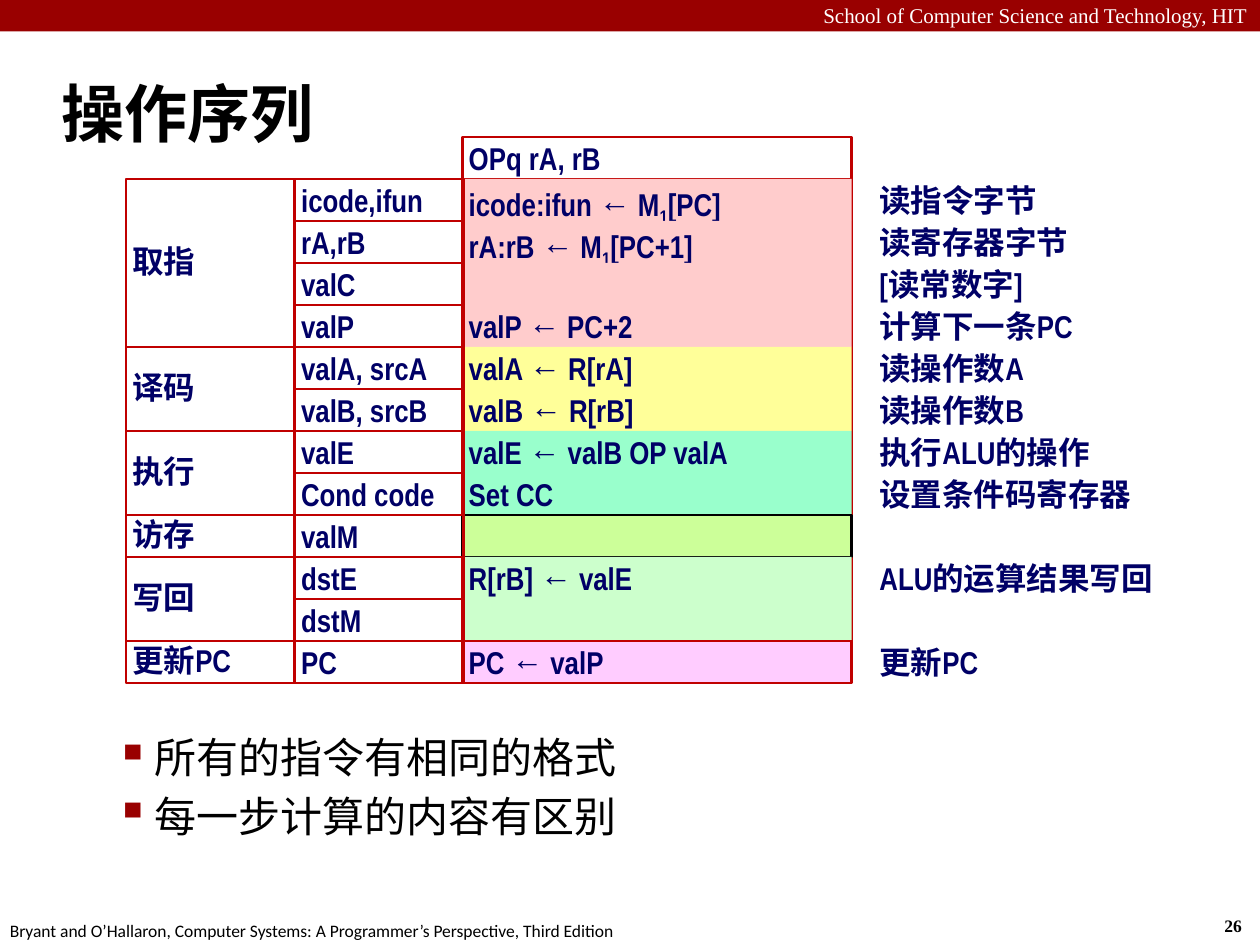
"""Builds the slide on the operation sequence of OPq, stage by stage."""
from lxml import etree
from pptx import Presentation, util as u
from pptx.dml.color import RGBColor
from pptx.enum import shapes, text
from pptx.oxml.ns import qn

C = {"bar": "990000", "line": "C00000", "navy": "000066", "black": "000000",
     "white": "FFFFFF", "fetch": "FFCCCC", "decode": "FFFF99",
     "execute": "99FFCC", "memory": "CCFF99", "write": "CCFFCC", "pc": "FFCCFF"}
X = {"stage": 1, "name": 2.34, "step": 3.67, "note": 6.93}
W = {"stage": 1.34, "name": 1.34, "step": 3.09, "note": 3.07}
TOP, ROW = 1.42, 1 / 3

STAGES = [
    ("取指", "fetch", "line", [
        ("icode,ifun", "icode:ifun ← M_1_[PC]", "读指令字节"),
        ("rA,rB", "rA:rB ← M_1_[PC+1]", "读寄存器字节"),
        ("valC", "", "[读常数字]"),
        ("valP", "valP ← PC+2", "计算下一条PC")]),
    ("译码", "decode", "line", [
        ("valA, srcA", "valA ← R[rA]", "读操作数A"),
        ("valB, srcB", "valB ← R[rB]", "读操作数B")]),
    ("执行", "execute", "line", [
        ("valE", "valE ← valB OP valA", "执行ALU的操作"),
        ("Cond code", "Set CC", "设置条件码寄存器")]),
    ("访存", "memory", "black", [("valM", "", "")]),
    ("写回", "write", "line", [
        ("dstE", "R[rB] ← valE", "ALU的运算结果写回"),
        ("dstM", "", "")]),
    ("更新PC", "pc", "line", [("PC", "PC ← valP", "更新PC")]),
]


def write(p, words, size=18, font="Arial Narrow", color="navy", bold=True,
          align=text.PP_ALIGN.LEFT, spacing=None):
    """Fill a paragraph; parts between underscores become subscripts."""
    p.alignment = align
    if spacing:
        p.line_spacing = spacing
    for i, part in enumerate(words.split("_")):
        r = p.add_run()
        r.text = part
        r.font.size, r.font.name, r.font.bold = u.Pt(size), font, bold
        r.font.color.rgb = RGBColor.from_string(C[color])
        if i % 2:
            r.font._element.set("baseline", "-25000")


def cell(column, row, words="", rows=1, fill=None, line=None,
         anchor=text.MSO_ANCHOR.TOP):
    """Draw one cell at a column and row of the grid."""
    place = [u.Inches(v) for v in (X[column], TOP + row * ROW, W[column], rows * ROW)]
    if fill or line:
        sp = s.shapes.add_shape(shapes.MSO_SHAPE.RECTANGLE, *place)
        sp.shadow.inherit = False
        if fill:
            sp.fill.solid()
            sp.fill.fore_color.rgb = RGBColor.from_string(C[fill])
        else:
            sp.fill.background()
        if line:
            sp.line.color.rgb = RGBColor.from_string(C[line])
            sp.line.width = u.Pt(1.5)
        else:
            sp.line.fill.background()
    else:
        sp = s.shapes.add_textbox(*place)
    if words:
        tf = sp.text_frame
        tf.word_wrap, tf.vertical_anchor = True, anchor
        tf.margin_left = tf.margin_right = tf.margin_top = tf.margin_bottom = u.Inches(0.05)
        write(tf.paragraphs[0], words, spacing=0.9)


prs = Presentation()
prs.slide_width, prs.slide_height = u.Inches(10), u.Inches(7.5)
s = prs.slides.add_slide(prs.slide_layouts[5])

sp = s.shapes.title
sp.left, sp.top, sp.width, sp.height = [u.Inches(v) for v in (0.39, 0.48, 9.61, 0.83)]
sp.text_frame.vertical_anchor = text.MSO_ANCHOR.MIDDLE
write(sp.text_frame.paragraphs[0], "操作序列", size=36, font="Calibri", color="black")

bar = s.shapes.add_shape(shapes.MSO_SHAPE.RECTANGLE, 0, 0, prs.slide_width, u.Inches(0.25))
bar.shadow.inherit = False
bar.fill.solid()
bar.fill.fore_color.rgb = RGBColor.from_string(C["bar"])
bar.line.fill.background()

for place, wrap, words, fmt in [
    ((0, -0.03, 10, 0.3), True, "School of Computer Science and Technology, HIT",
     dict(size=12, font="Times New Roman", color="white", bold=False,
          align=text.PP_ALIGN.RIGHT)),
    ((9.62, 7.21, 0.37, 0.27), False, "26",
     dict(size=10, font="Times New Roman", color="black")),
    ((-0.02, 7.25, 5.08, 0.27), False,
     "Bryant and O’Hallaron, Computer Systems: A Programmer’s Perspective, Third Edition",
     dict(size=10, font="Calibri", color="black", bold=False)),
]:
    tf = s.shapes.add_textbox(*[u.Inches(v) for v in place]).text_frame
    tf.word_wrap = wrap
    write(tf.paragraphs[0], words, **fmt)

row = 0
for label, fill, line, steps in STAGES:
    if len(steps) > 1:
        cell("step", row, rows=len(steps), line=line)
    row += len(steps)

cell("step", -1, "OPq rA, rB", line="line")
row = 0
for label, fill, line, steps in STAGES:
    for i, (name, step, note) in enumerate(steps):
        cell("step", row + i, step, fill=fill, line=line if len(steps) == 1 else None)
        if note:
            cell("note", row + i, note)
    cell("stage", row, label, rows=len(steps), line="line", anchor=text.MSO_ANCHOR.MIDDLE)
    row += len(steps)

names = [name for stage in STAGES for name, step, note in stage[3]]
for row, name in enumerate(names):
    cell("name", row, name, line="line")

tf = s.shapes.add_textbox(*[u.Inches(v) for v in (0.32, 5.76, 9.08, 1.29)]).text_frame
tf.word_wrap = True
for i, words in enumerate(["所有的指令有相同的格式", "每一步计算的内容有区别"]):
    p = tf.add_paragraph() if i else tf.paragraphs[0]
    pPr = p._p.get_or_add_pPr()
    pPr.set("marL", str(u.Inches(0.81)))
    pPr.set("indent", str(u.Inches(-0.31)))
    color = etree.SubElement(pPr, qn("a:buClr"))
    etree.SubElement(color, qn("a:srgbClr"), val=C["bar"])
    etree.SubElement(pPr, qn("a:buSzPct"), val="110000")
    etree.SubElement(pPr, qn("a:buChar"), char="▪")
    if i:
        p.space_before = u.Pt(4.8)
    write(p, words, size=24, font="Calibri", color="black", bold=False)

prs.save("out.pptx")
